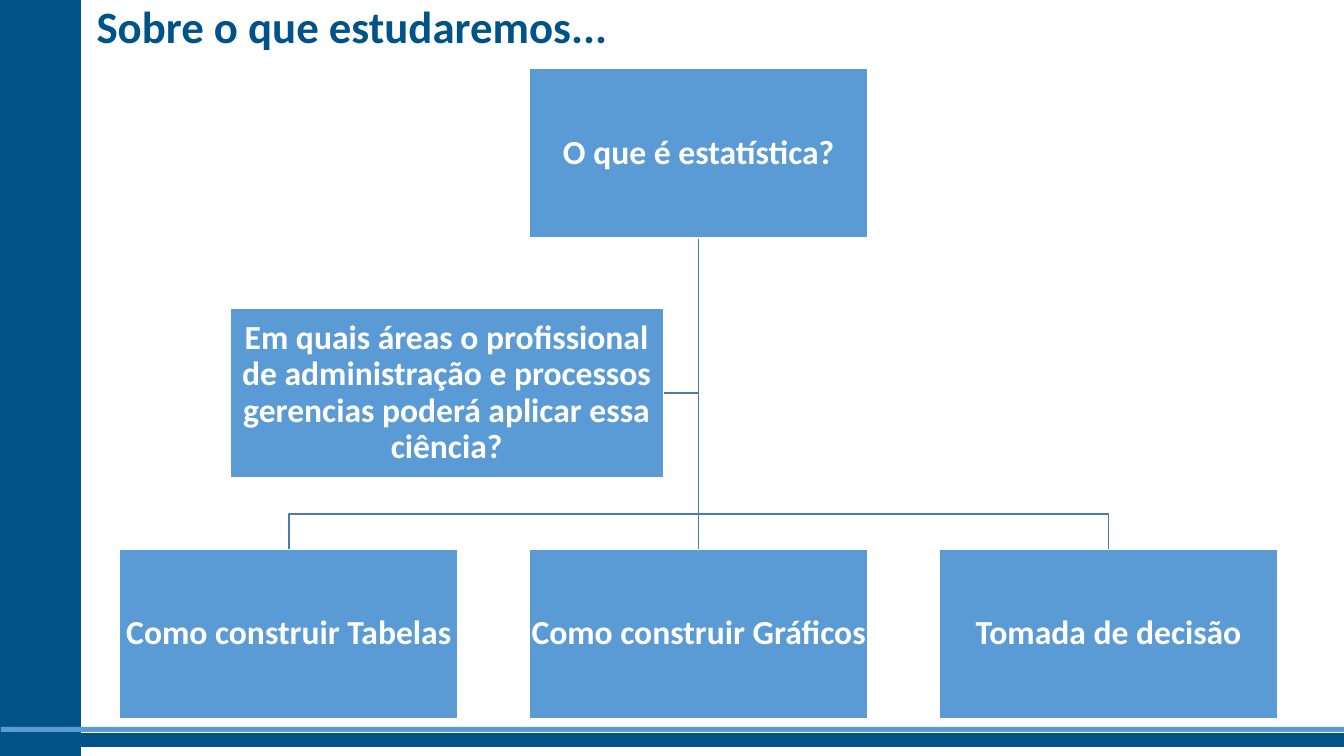
from dataclasses import dataclass

import pptx
import pptx.dml.color
import pptx.enum.shapes
import pptx.enum.text
import pptx.util
from pptx.util import Inches


@dataclass(frozen=True)
class Theme:
    navy: str = "005388"
    sky: str = "5B9BD5"
    branch: str = "497CAB"
    white: str = "FFFFFF"
    font: str = "Calibri"
    title_size: int = 32
    topic_size: int = 24


@dataclass(frozen=True)
class Bar:
    left: float
    top: float
    width: float
    height: float
    fill: str
    line: str | None = None


@dataclass(frozen=True)
class Topic:
    text: str
    center: float
    top: float
    width: float = 3.36


THEME = Theme()
TOPIC_HEIGHT = 1.68
TOP_ROW, SIDE_ROW, BOTTOM_ROW = 0.68, 3.06, 5.45
TRUNK_X, COLUMN_STEP = 6.93, 4.065
TRUNK_TOP = TOP_ROW + TOPIC_HEIGHT
FORK_Y = 5.1

BARS = [
    Bar(0, 0, 0.8, 7.5, THEME.navy, THEME.navy),
    Bar(0, 7.28, 13.33, 0.12, THEME.navy, THEME.navy),
    Bar(0.01, 7.21, 13.33, 0.05, THEME.sky),
]

ROOT = Topic("O que é estatística?", TRUNK_X, TOP_ROW)
ASSISTANT = Topic(
    "Em quais áreas o profissional de administração e processos "
    "gerencias poderá aplicar essa ciência?", 4.43, SIDE_ROW, 4.3)
CHILDREN = [
    Topic(text, TRUNK_X + step * COLUMN_STEP, BOTTOM_ROW)
    for step, text in enumerate(
        ["Como construir Tabelas", "Como construir Gráficos", "Tomada de decisão"], -1)
]


def rgb(color: str) -> pptx.dml.color.RGBColor:
    return pptx.dml.color.RGBColor.from_string(color)


def write(shape, text: str, *, size: int, color: str, align, anchor,
          inset_x: float, inset_y: float, space_before: int = 0) -> None:
    """Fill a shape with one bold paragraph."""
    frame = shape.text_frame
    frame.word_wrap = True
    frame.vertical_anchor = anchor
    frame.margin_left = frame.margin_right = Inches(inset_x)
    frame.margin_top = frame.margin_bottom = Inches(inset_y)
    paragraph = frame.paragraphs[0]
    paragraph.alignment = align
    paragraph.line_spacing = 0.9
    paragraph.space_before = pptx.util.Pt(space_before)
    run = paragraph.add_run()
    run.text = text
    run.font.name = THEME.font
    run.font.size = pptx.util.Pt(size)
    run.font.bold = True
    run.font.color.rgb = rgb(color)


def draw_bar(slide, bar: Bar):
    shape = slide.shapes.add_shape(
        pptx.enum.shapes.MSO_SHAPE.RECTANGLE,
        Inches(bar.left), Inches(bar.top), Inches(bar.width), Inches(bar.height))
    shape.shadow.inherit = False
    shape.fill.solid()
    shape.fill.fore_color.rgb = rgb(bar.fill)
    if bar.line:
        shape.line.color.rgb = rgb(bar.line)
        shape.line.width = pptx.util.Pt(1)
    else:
        shape.line.fill.background()
    return shape


def draw_topic(slide, topic: Topic) -> None:
    box = draw_bar(slide, Bar(topic.center - topic.width / 2, topic.top,
                              topic.width, TOPIC_HEIGHT, THEME.sky, THEME.white))
    write(box, topic.text, size=THEME.topic_size, color=THEME.white,
          align=pptx.enum.text.PP_ALIGN.CENTER,
          anchor=pptx.enum.text.MSO_ANCHOR.MIDDLE, inset_x=0.01, inset_y=0.02)


def draw_branch(slide, points: list[tuple[float, float]]) -> None:
    corners = [(Inches(x), Inches(y)) for x, y in points]
    builder = slide.shapes.build_freeform(*corners[0])
    builder.add_line_segments(corners[1:], close=False)
    branch = builder.convert_to_shape()
    branch.shadow.inherit = False
    branch.fill.background()
    branch.line.color.rgb = rgb(THEME.branch)
    branch.line.width = pptx.util.Pt(1)


def main() -> None:
    presentation = pptx.Presentation()
    presentation.slide_width = Inches(13.33)
    presentation.slide_height = Inches(7.5)
    slide = presentation.slides.add_slide(presentation.slide_layouts[6])

    # Side and bottom bars
    for bar in BARS:
        draw_bar(slide, bar)

    # Branches from the root to the assistant and the children
    trunk = (TRUNK_X, TRUNK_TOP)
    side_y = SIDE_ROW + TOPIC_HEIGHT / 2
    draw_branch(slide, [trunk, (TRUNK_X, side_y),
                        (ASSISTANT.center + ASSISTANT.width / 2, side_y)])
    for child in CHILDREN:
        fork = [] if child.center == TRUNK_X else [(TRUNK_X, FORK_Y), (child.center, FORK_Y)]
        draw_branch(slide, [trunk, *fork, (child.center, BOTTOM_ROW)])

    # Topics
    for topic in [ROOT, *CHILDREN, ASSISTANT]:
        draw_topic(slide, topic)

    # Title
    title = slide.shapes.add_textbox(Inches(0.86), 0, Inches(6.87), Inches(0.74))
    write(title, "Sobre o que estudaremos...", size=THEME.title_size, color=THEME.navy,
          align=pptx.enum.text.PP_ALIGN.LEFT, anchor=pptx.enum.text.MSO_ANCHOR.TOP,
          inset_x=0.1, inset_y=0.05, space_before=10)

    presentation.save("out.pptx")


if __name__ == "__main__":
    main()
